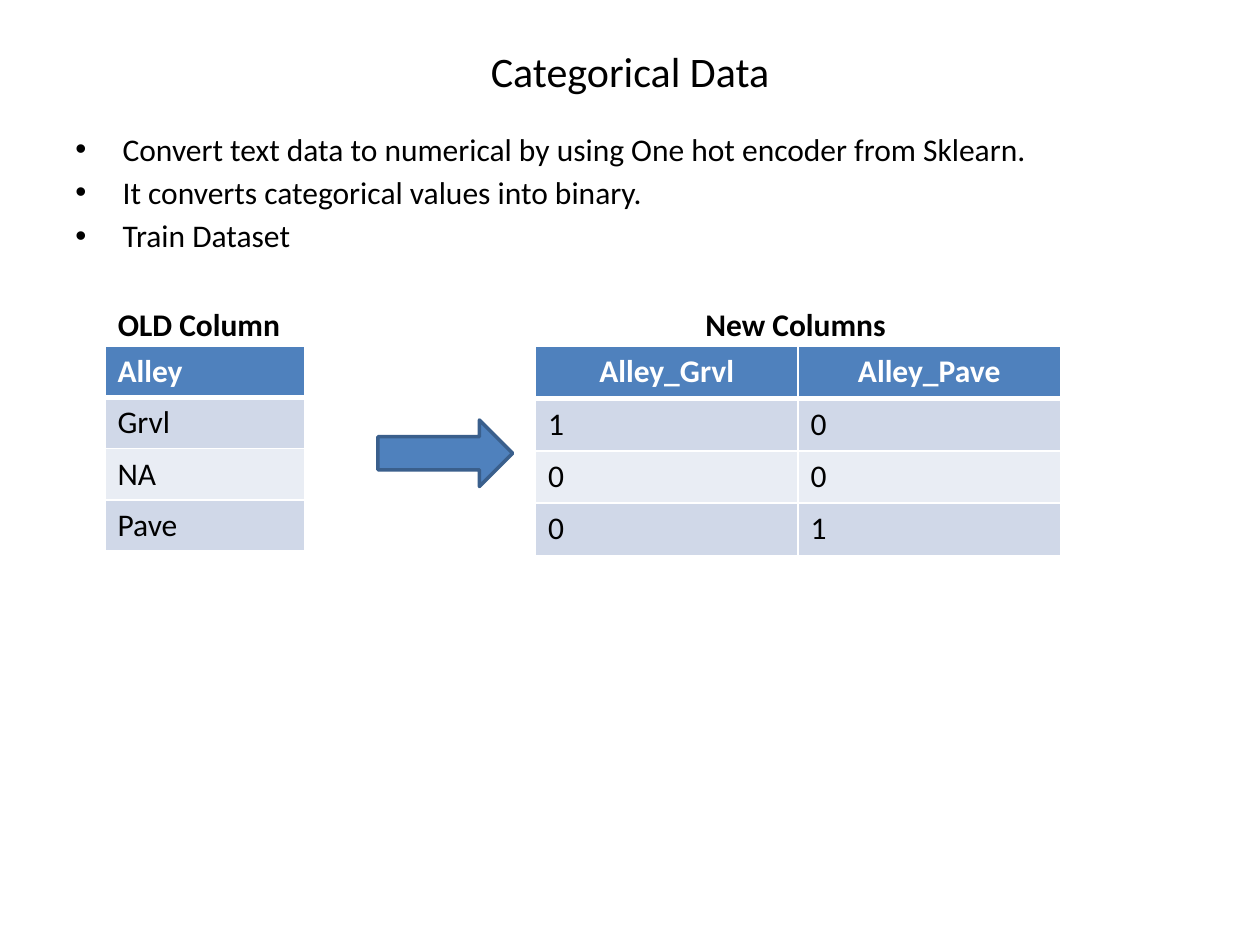
from lxml import etree
from pptx import Presentation
from pptx import util as u
from pptx.dml.color import RGBColor
from pptx.enum import shapes, text
from pptx.oxml import ns

Pt = u.Pt


def color(value):
    return RGBColor.from_string(value)


def add_xml(parent, tag, **attributes):
    return etree.SubElement(parent, ns.qn(tag), attributes)


class SlideStyle:
    font, black, white = "Calibri", "000000", "FFFFFF"
    blue, blue_edge = "4F81BD", "3A5F8C"
    bands = ("D0D8E8", "E9EDF4")

    def __init__(self, slide):
        self.slide = slide

    def set_font(self, paragraph, size=18, bold=False, ink=None):
        font = paragraph.font
        font.name, font.size, font.bold = self.font, Pt(size), bold
        font.color.rgb = color(ink or self.black)

    def text_box(self, left, top, width, height):
        box = self.slide.shapes.add_textbox(Pt(left), Pt(top), Pt(width), Pt(height))
        box.text_frame.word_wrap = True
        return box.text_frame

    def title(self, wording, *place):
        frame = self.text_box(*place)
        frame.vertical_anchor = text.MSO_ANCHOR.MIDDLE
        heading = frame.paragraphs[0]
        heading.text = wording
        heading.alignment = text.PP_ALIGN.CENTER
        self.set_font(heading, 24)

    def body(self, points, captions, tab_stops, *place):
        frame = self.text_box(*place)
        frame.margin_top = Pt(20)
        for number, wording in enumerate(points):
            point = frame.add_paragraph() if number else frame.paragraphs[0]
            point.text = wording
            point.space_before = Pt(3.2 if number else 0)
            self.set_font(point)
            properties = point._p.get_or_add_pPr()
            properties.set("marL", str(Pt(27)))
            properties.set("indent", str(Pt(-27)))
            bullet_font = etree.Element(ns.qn("a:buFont"), typeface="Arial")
            bullet = etree.Element(ns.qn("a:buChar"), char="•")
            properties.find(ns.qn("a:defRPr")).addprevious(bullet_font)
            bullet_font.addnext(bullet)

        # Captions stand on tab stops above their tables
        caption_line = frame.add_paragraph()
        caption_line.text = "".join("\t" + caption for caption in captions)
        caption_line.space_before = Pt(28.8)
        self.set_font(caption_line, bold=True)
        properties = caption_line._p.get_or_add_pPr()
        tabs = etree.Element(ns.qn("a:tabLst"))
        properties.find(ns.qn("a:defRPr")).addprevious(tabs)
        for stop in tab_stops:
            add_xml(tabs, "a:tab", pos=str(Pt(stop)), algn="l")

    def borders(self, cell, top, bottom):
        properties = cell._tc.get_or_add_tcPr()
        widths = {"L": 1, "R": 1, "T": top, "B": bottom}
        for position, (side, width) in enumerate(widths.items()):
            line = etree.Element(ns.qn("a:ln" + side), w=str(Pt(width)))
            add_xml(add_xml(line, "a:solidFill"), "a:srgbClr", val=self.white)
            properties.insert(position, line)

    def table(self, rows, left, top, width, height, header_align):
        grid = self.slide.shapes.add_table(
            len(rows), len(rows[0]), Pt(left), Pt(top), Pt(width), Pt(height)).table
        for r, row in enumerate(rows):
            header = r == 0
            for c, value in enumerate(row):
                cell = grid.cell(r, c)
                cell.text = value
                cell.fill.solid()
                cell.fill.fore_color.rgb = color(
                    self.blue if header else self.bands[(r - 1) % 2])
                entry = cell.text_frame.paragraphs[0]
                entry.alignment = header_align if header else text.PP_ALIGN.LEFT
                self.set_font(entry, bold=header, ink=self.white if header else None)
                self.borders(cell, 3 if r == 1 else 1, 3 if header else 1)

    def arrow(self, left, top, width, height):
        arrow = self.slide.shapes.add_shape(
            shapes.MSO_SHAPE.RIGHT_ARROW, Pt(left), Pt(top), Pt(width), Pt(height))
        arrow.shadow.inherit = False
        arrow.fill.solid()
        arrow.fill.fore_color.rgb = color(self.blue)
        arrow.line.color.rgb = color(self.blue_edge)
        arrow.line.width = Pt(2)


def main():
    deck = Presentation()
    deck.slide_width, deck.slide_height = Pt(720), Pt(540)
    page = SlideStyle(deck.slides.add_slide(deck.slide_layouts[6]))

    # Title and explanation
    page.title("Categorical Data", 36, 21.6, 648, 38)
    page.body(
        ["Convert text data to numerical by using One hot encoder from Sklearn.",
         "It converts categorical values into binary.",
         "Train Dataset"],
        ["OLD Column", "New Columns"], (24.25, 360), 36, 54, 648, 456)

    # Text column turned into binary columns
    page.table([["Alley"], ["Grvl"], ["NA"], ["Pave"]],
               60, 198, 114, 116.8, text.PP_ALIGN.LEFT)
    page.arrow(216, 240, 77, 38)
    page.table([["Alley_Grvl", "Alley_Pave"], ["1", "0"], ["0", "0"], ["0", "1"]],
               306, 198, 300, 119.4, text.PP_ALIGN.CENTER)

    deck.save("out.pptx")


if __name__ == "__main__":
    main()
